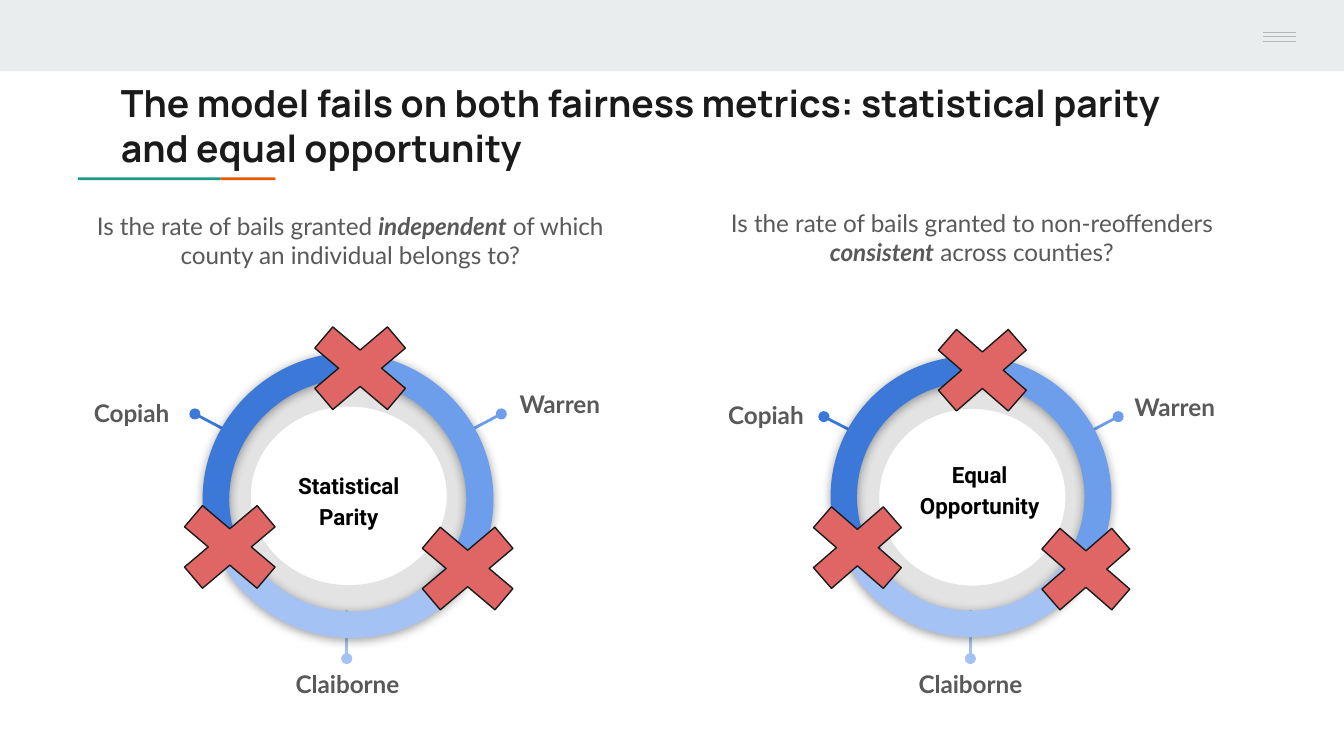
from dataclasses import dataclass

from lxml.etree import SubElement
from pptx import Presentation
from pptx.dml.color import RGBColor
from pptx.enum.shapes import MSO_CONNECTOR, MSO_SHAPE
from pptx.enum.text import MSO_ANCHOR as Anchor, MSO_AUTO_SIZE as AutoSize, PP_ALIGN as Align
from pptx.oxml.ns import qn
from pptx.util import Inches, Pt


@dataclass(frozen=True)
class Theme:
    header: str = "E9EDEE"
    menu: str = "B7B7B7"
    green: str = "1A9988"
    orange: str = "EB5600"
    ink: str = "1A1A1A"
    gray: str = "595959"
    black: str = "000000"
    dark_blue: str = "3C78D8"
    blue: str = "6D9EEB"
    light_blue: str = "A4C2F4"
    red: str = "E06666"
    title_size: int = 20
    body_size: int = 13
    center_size: int = 12


THEME = Theme()
TITLE = dict(name="Manrope", size=THEME.title_size, color=THEME.ink, bold=True)
BODY = dict(name="Lato", size=THEME.body_size, color=THEME.gray)
CENTER = dict(name="Roboto", size=THEME.center_size, color=THEME.black, bold=True)


@dataclass(frozen=True)
class Wheel:
    """Ring of three counties, laid out on the first wheel's coordinates."""
    left: float
    top: float
    scale_x: float
    scale_y: float
    tilt: float
    center_text: str
    center_box: tuple

    def point(self, x, y):
        return (round(self.left + (x - 1.5) * self.scale_x, 2),
                round(self.top + (y - 2.63) * self.scale_y, 2))

    def area(self, x, y, width, height):
        return (*self.point(x, y), round(width * self.scale_x, 2),
                round(height * self.scale_y, 2))


WHEELS = [
    Wheel(1.5, 2.63, 1, 1, 28.5, "Statistical Parity", (2, 3.4, 1.19, 0.62)),
    Wheel(6.18, 2.65, 0.96, 0.99, 29.4, "Equal Opportunity", (6.66, 3.32, 1.26, 0.62)),
]
QUESTIONS = [
    ((0.58, 1.47, 4.05, 0.59), ("Is the rate of bails granted ", "independent",
                                " of which county an individual belongs to?")),
    ((5.29, 1.45, 3.88, 0.62), ("Is the rate of bails granted to non-reoffenders ",
                                "consistent", " across counties?")),
]


def inches(values):
    return [Inches(value) for value in values]


def write(box, spans, align=Align.LEFT, anchor=Anchor.TOP, spacing=1.0):
    """Fill a box with one paragraph of (text, format) spans."""
    frame = box.text_frame
    margins = {f"margin_{side}": Inches(0.1) for side in ("left", "top", "right", "bottom")}
    settings = dict(word_wrap=True, auto_size=AutoSize.NONE, vertical_anchor=anchor, **margins)
    for name, value in settings.items():
        setattr(frame, name, value)
    para = frame.paragraphs[0]
    para.alignment = align
    para.line_spacing = spacing
    for text, style in spans:
        span = para.add_run()
        span.text = text
        for name, value in style.items():
            if name == "color":
                span.font.color.rgb = RGBColor.from_string(value)
            else:
                setattr(span.font, name, Pt(value) if name == "size" else value)


def add_text(page, area, spans, **options):
    write(page.shapes.add_textbox(*inches(area)), spans, **options)


def add_shape(page, kind, area, fill, adjust=(), rotation=0, outline=None):
    shape = page.shapes.add_shape(kind, *inches(area))
    shape.shadow.inherit = False
    shape.fill.solid()
    shape.fill.fore_color.rgb = RGBColor.from_string(fill)
    if outline:
        shape.line.color.rgb = RGBColor.from_string(outline)
        shape.line.width = Pt(0.75)
    else:
        shape.line.fill.background()
    for index, value in enumerate(adjust):
        shape.adjustments[index] = value
    shape.rotation = rotation
    return shape


def add_line(page, start, end, color, width, dot=False):
    line = page.shapes.add_connector(MSO_CONNECTOR.STRAIGHT, *inches((*start, *end)))
    line.line.color.rgb = RGBColor.from_string(color)
    line.line.width = Pt(width)
    properties = line.element.spPr
    if dot:
        SubElement(properties.find(qn("a:ln")), qn("a:headEnd"), type="oval")
    SubElement(properties, qn("a:effectLst"))


def add_arc(page, area, fill, adjust, rotation, mirrored):
    arc = add_shape(page, MSO_SHAPE.BLOCK_ARC, area, fill, adjust, rotation)
    properties = arc.element.spPr
    if mirrored:
        properties.xfrm.set("flipH", "1")
    shadow = SubElement(properties.find(qn("a:effectLst")), qn("a:outerShdw"),
                        blurRad=str(Pt(5.6)), dist=str(Pt(0.8)), dir="5400000",
                        algn="ctr", rotWithShape="0")
    color = SubElement(shadow, qn("a:srgbClr"), val=THEME.black)
    SubElement(color, qn("a:alpha"), val="40000")


def add_wheel(page, wheel):
    # Translucent inner ring
    ring = add_shape(page, MSO_SHAPE.DONUT, wheel.area(1.55, 2.71, 2.09, 1.96),
                     THEME.black, [0.161])
    color = ring.element.spPr.find(".//" + qn("a:srgbClr"))
    SubElement(color, qn("a:alpha"), val="11000")

    # Callout lines
    for start, end, color in [((1.45, 3.08), (1.81, 3.27), THEME.dark_blue),
                              ((3.73, 3.08), (3.37, 3.27), THEME.blue),
                              ((2.58, 4.9), (2.58, 4.54), THEME.light_blue)]:
        add_line(page, wheel.point(*start), wheel.point(*end), color, 1.5, dot=True)

    add_text(page, wheel.center_box, [(wheel.center_text, CENTER)],
             align=Align.CENTER, anchor=Anchor.MIDDLE, spacing=1.15)

    # Outer ring: three arcs and the tips where they meet
    ring_area = wheel.area(1.5, 2.63, 2.18, 2.11)
    arcs = [(THEME.blue, (144.14, 0.01, 0.096), wheel.tilt, False),
            (THEME.dark_blue, (143.49, 214.73, 0.094), 360 - wheel.tilt, True),
            (THEME.light_blue, (143.16, 215.03, 0.094), 180 + wheel.tilt, True)]
    tips = [((2.44, 2.6, 0.29, 0.29), THEME.dark_blue, 223.2),
            ((3.35, 4.01, 0.26, 0.24), THEME.blue, 343.8),
            ((1.57, 4, 0.28, 0.3), THEME.light_blue, 107)]
    for arc in arcs[:2]:
        add_arc(page, ring_area, *arc)
    for index, (area, color, rotation) in enumerate(tips):
        add_shape(page, MSO_SHAPE.RIGHT_TRIANGLE, wheel.area(*area), color, rotation=rotation)
        if index == 0:
            add_arc(page, ring_area, *arcs[2])

    # County names
    for name, area, align in [("Copiah", (0.6, 2.86, 0.88, 0.46), Align.LEFT),
                              ("Claiborne", (1.97, 4.88, 1.23, 0.46), Align.CENTER),
                              ("Warren", (3.55, 2.8, 1.23, 0.46), Align.CENTER)]:
        add_text(page, wheel.area(*area), [(name, BODY | {"bold": True})], align=align)

    # Failure crosses
    for x, y in [(2.16, 2.3), (1.19, 3.63), (2.96, 3.79)]:
        add_shape(page, MSO_SHAPE.MATH_MULTIPLY, wheel.area(x, y, 1.04, 0.88),
                  THEME.red, [0.235], outline=THEME.ink)


def add_header(page):
    # Band, accent rule and menu mark
    for area, color in [((0, 0, 10, 0.53), THEME.header),
                        ((1.64, 1.32, 0.41, 0.02), THEME.orange),
                        ((0.58, 1.32, 1.06, 0.02), THEME.green)]:
        add_shape(page, MSO_SHAPE.RECTANGLE, area, color)
    for y in (0.24, 0.27, 0.31):
        add_line(page, (9.4, y), (9.64, y), THEME.menu, 0.75)


def add_title(page, text):
    title = page.shapes.title
    places = zip(("left", "top", "width", "height"), inches((0.8, 0.5, 8.41, 0.59)))
    for name, value in places:
        setattr(title, name, value)
    write(title, [(text, TITLE)])
    # Bring the title in front of the header band
    page.shapes.element.append(title.element)


def main():
    deck = Presentation()
    # Widescreen, 16:9
    deck.slide_width = Inches(10)
    deck.slide_height = Inches(10) * 9 // 16
    page = deck.slides.add_slide(deck.slide_layouts[5])
    add_header(page)
    add_title(page, "The model fails on both fairness metrics: "
                    "statistical parity and equal opportunity")
    for area, (before, stressed, after) in QUESTIONS:
        add_text(page, area, [(before, BODY), (stressed, BODY | {"bold": True, "italic": True}),
                              (after, BODY)], align=Align.CENTER)
    for wheel in WHEELS:
        add_wheel(page, wheel)
    deck.save("out.pptx")


if __name__ == "__main__":
    main()
